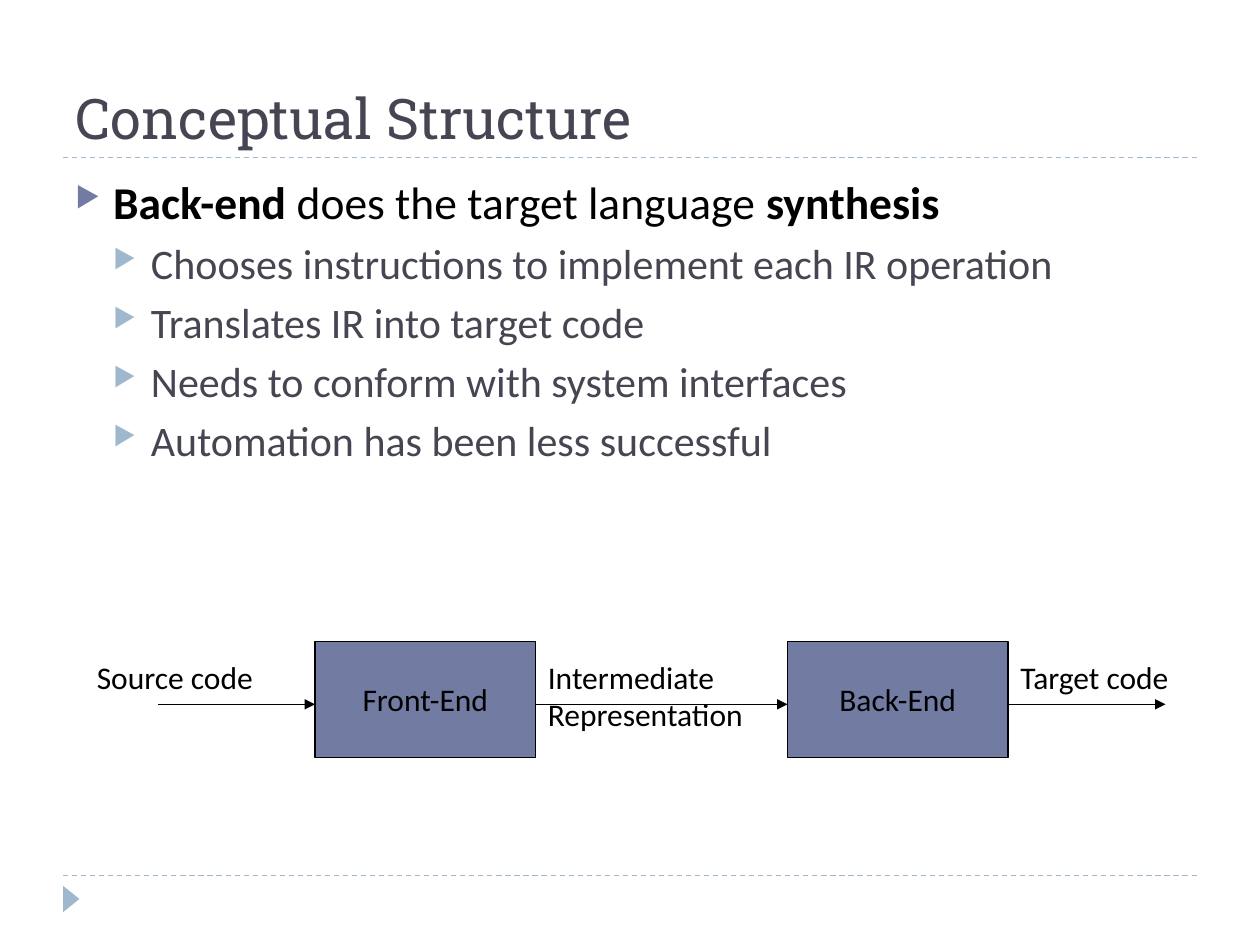
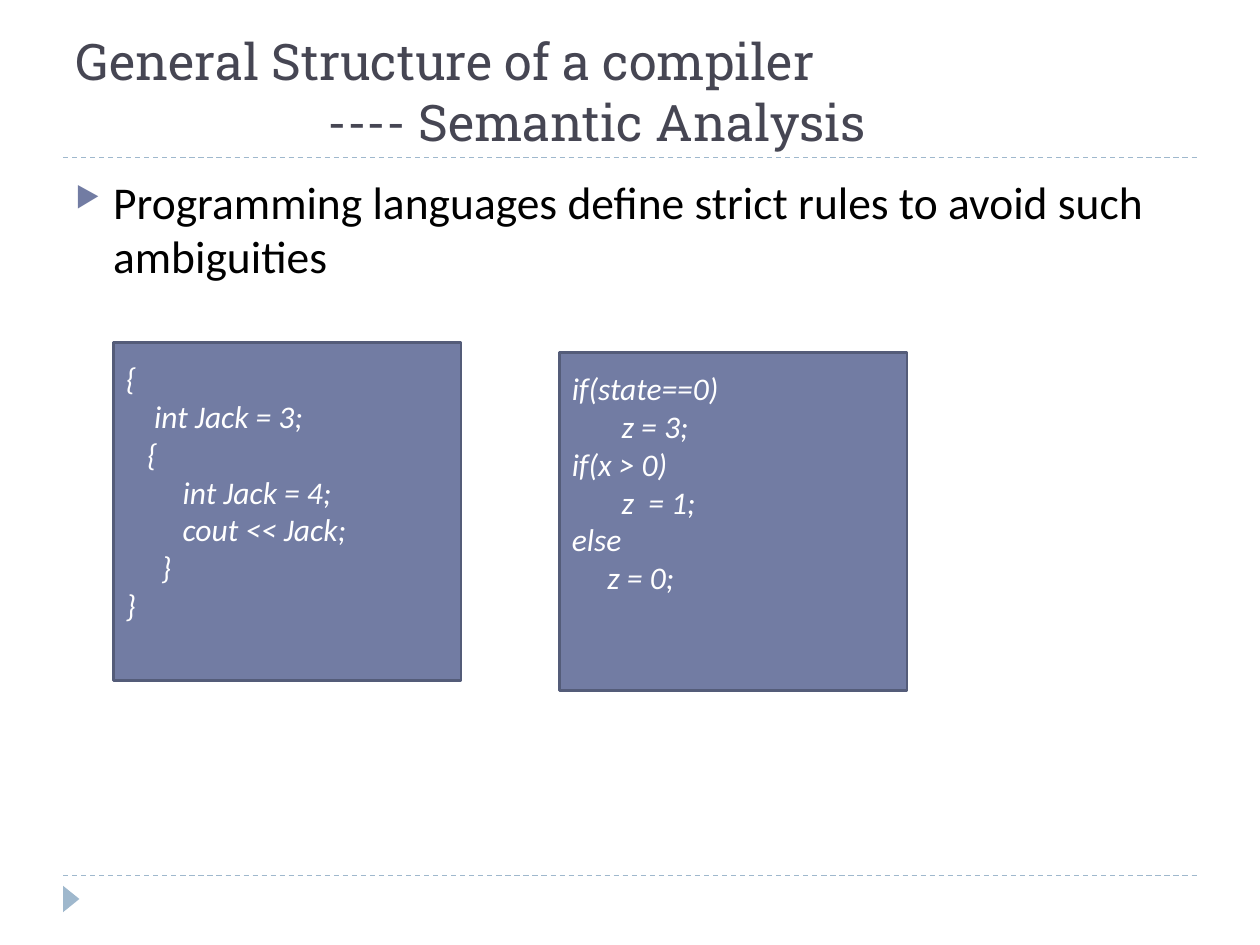
from lxml import etree
from pptx import Presentation
from pptx.dml.color import RGBColor
from pptx.enum.dml import MSO_LINE_DASH_STYLE as Dash
from pptx.enum.shapes import MSO_CONNECTOR as Conn, MSO_SHAPE as Shape
from pptx.enum.text import MSO_ANCHOR as Anchor, MSO_AUTO_SIZE as AutoSize, PP_ALIGN as Align
from pptx.oxml.ns import qn
from pptx.util import Inches, Pt

INK, SLATE, SLATE_EDGE, SKY = "464653", "727CA3", "545C79", "9FB8CD"
BLACK, WHITE = "000000", "FFFFFF"
HEAD_FONT, BODY_FONT = "Roboto Slab", "Calibri"
WIDTH, HEIGHT = 10, 7.5
MARGIN = WIDTH / 20
CONTENT_W = WIDTH - 2 * MARGIN
SPACE = Pt(18) * 0.226  # width of one space of 18 pt code

# Bullet levels: size, text colour, bullet colour, space before
LEVELS = [(26, BLACK, SLATE, 6), (24, INK, SKY, 5)]


def rgb(hex_colour):
    return RGBColor.from_string(hex_colour)


def style(p, size, colour, font=BODY_FONT):
    p.font.size, p.font.name = Pt(size), font
    p.font.color.rgb = rgb(colour)


def add_box(slide, box, fill, edge=None, weight=0.75, kind=Shape.RECTANGLE):
    s = slide.shapes.add_shape(kind, *map(Inches, box))
    s.shadow.inherit = False
    s.fill.solid()
    s.fill.fore_color.rgb = rgb(fill)
    if edge:
        s.line.color.rgb = rgb(edge)
        s.line.width = Pt(weight)
    else:
        s.line.fill.background()
    return s


def add_line(slide, x1, x2, y, colour, dash=None, arrow=False):
    c = slide.shapes.add_connector(Conn.STRAIGHT, *map(Inches, (x1, y, x2, y)))
    c.line.color.rgb = rgb(colour)
    c.line.width = Pt(0.75)
    if dash:
        c.line.dash_style = dash
    if arrow:
        etree.SubElement(c.line._get_or_add_ln(), qn("a:tailEnd"), type="triangle")
    etree.SubElement(c._element.spPr, qn("a:effectLst"))


def add_text(slide, box, wrap=True):
    tf = slide.shapes.add_textbox(*map(Inches, box)).text_frame
    tf.word_wrap = wrap
    return tf


def add_paragraphs(tf, count):
    return [tf.paragraphs[0]] + [tf.add_paragraph() for _ in range(count - 1)]


def add_base(prs, title, size):
    """Slide with its title, dashed rules and corner marker."""
    slide = prs.slides.add_slide(prs.slide_layouts[5])
    for y in (HEIGHT / 6, 6.95):
        add_line(slide, MARGIN, WIDTH - MARGIN, y, SKY, Dash.DASH)
    marker = add_box(slide, (0.46, 7.07, 0.21, 0.13), SKY, kind=Shape.ISOSCELES_TRIANGLE)
    marker.rotation = 90

    s = slide.shapes.title
    s.left, s.top, s.width, s.height = map(Inches, (MARGIN, 0.17, CONTENT_W, 1.08))
    tf = s.text_frame
    tf.auto_size, tf.vertical_anchor = AutoSize.NONE, Anchor.BOTTOM
    tf.text = title
    p = tf.paragraphs[0]
    p.alignment = Align.LEFT
    style(p, size, INK, HEAD_FONT)
    # Tab stop that sets the second title line in
    tabs = etree.Element(qn("a:tabLst"))
    etree.SubElement(tabs, qn("a:tab"), pos=str(Inches(2)), algn="l")
    p._p.get_or_add_pPr().insert(0, tabs)
    return slide


def add_bullets(slide, items):
    """Bulleted list; each item is a level and its (text, bold) runs."""
    tf = add_text(slide, (MARGIN, 1.33, CONTENT_W, 5.4))
    for p, (level, runs) in zip(add_paragraphs(tf, len(items)), items):
        size, colour, bullet, before = LEVELS[level]
        p.level, p.space_before = level, Pt(before)
        style(p, size, colour)
        for text, bold in runs:
            r = p.add_run()
            r.text, r.font.bold = text, bold
        pPr = p._p.get_or_add_pPr()
        pPr.set("marL", str(Inches(0.3 * (level + 1))))
        pPr.set("indent", str(Inches(-0.3)))
        marks = [etree.Element(qn("a:buClr")),
                 etree.Element(qn("a:buSzPct"), val="62000"),
                 etree.Element(qn("a:buChar"), char="▶")]
        etree.SubElement(marks[0], qn("a:srgbClr"), val=bullet)
        for i, mark in enumerate(marks):
            pPr.insert(1 + i, mark)  # right after the space before


def add_label(slide, x, y, w, lines):
    tf = add_text(slide, (x, y, w, 0.31 * len(lines) + 0.1), wrap=False)
    for p, line in zip(add_paragraphs(tf, len(lines)), lines):
        p.text = line
        style(p, 18, BLACK)


def add_pipeline(slide, box):
    """Two stages with arrows into, between and out of them."""
    x, y, w, h = box
    col = w / 32
    edges = [x + col * n for n in (0, 5, 12, 20, 27, 32)]
    for name, left in (("Front-End", edges[1]), ("Back-End", edges[3])):
        s = add_box(slide, (left, y, 7 * col, h), SLATE, BLACK)
        tf = s.text_frame
        tf.word_wrap, tf.vertical_anchor = False, Anchor.MIDDLE
        p = tf.paragraphs[0]
        p.text, p.alignment = name, Align.CENTER
        style(p, 18, BLACK)
    for start, end in zip(edges[::2], edges[1::2]):
        add_line(slide, start, end, y + 0.5, BLACK, arrow=True)
    labels = [(x - 0.58, 1.7, ["Source code"]),
              (edges[2], 2.03, ["Intermediate", "Representation"]),
              (edges[4], 1.62, ["Target code"])]
    for left, width, lines in labels:
        add_label(slide, left, y + 0.08, width, lines)


def add_code(slide, box, lines):
    """Panel of code; each line is its indent in spaces and its text."""
    tf = add_box(slide, box, SLATE, SLATE_EDGE, 1.5).text_frame
    tf.word_wrap, tf.vertical_anchor = True, Anchor.TOP
    tf.margin_top = Inches(0.13)
    for p, (indent, text) in zip(add_paragraphs(tf, len(lines)), lines):
        p.text, p.alignment = text, Align.LEFT
        style(p, 18, WHITE)
        p.font.italic = True
        p._p.get_or_add_pPr().set("marL", str(int(indent * SPACE)))


def conceptual_structure(prs):
    slide = add_base(prs, "Conceptual Structure", 32)
    details = ["Chooses instructions to implement each IR operation",
               "Translates IR into target code",
               "Needs to conform with system interfaces",
               "Automation has been less successful"]
    lead = [("Back-end", True), (" does the target language ", False), ("synthesis", True)]
    add_bullets(slide, [(0, lead)] + [(1, [(text, False)]) for text in details])
    add_pipeline(slide, (WIDTH / 8, 5.09, WIDTH * 0.8, 0.92))


def semantic_analysis(prs):
    slide = add_base(prs, "General Structure of a compiler\v\t---- Semantic Analysis", 28.8)
    rule = "Programming languages define strict rules to avoid such ambiguities"
    add_bullets(slide, [(0, [(rule, False)])])
    scopes = [(0, "{"), (4, "int Jack = 3;"), (3, "{"), (8, "int Jack = 4;"),
              (8, "cout << Jack;"), (5, "}"), (0, "}")]
    branches = [(0, "if(state==0)"), (7, "z = 3;"), (0, "if(x > 0)"),
                (7, "z  = 1;"), (0, "else"), (5, "z = 0;")]
    for i, lines in enumerate((scopes, branches)):
        add_code(slide, (0.9 + 3.54 * i, 2.72 + 0.08 * i, 2.76, 2.68), lines)


def main():
    prs = Presentation()
    prs.slide_width, prs.slide_height = Inches(WIDTH), Inches(HEIGHT)
    conceptual_structure(prs)
    semantic_analysis(prs)
    prs.save("out.pptx")


if __name__ == "__main__":
    main()
